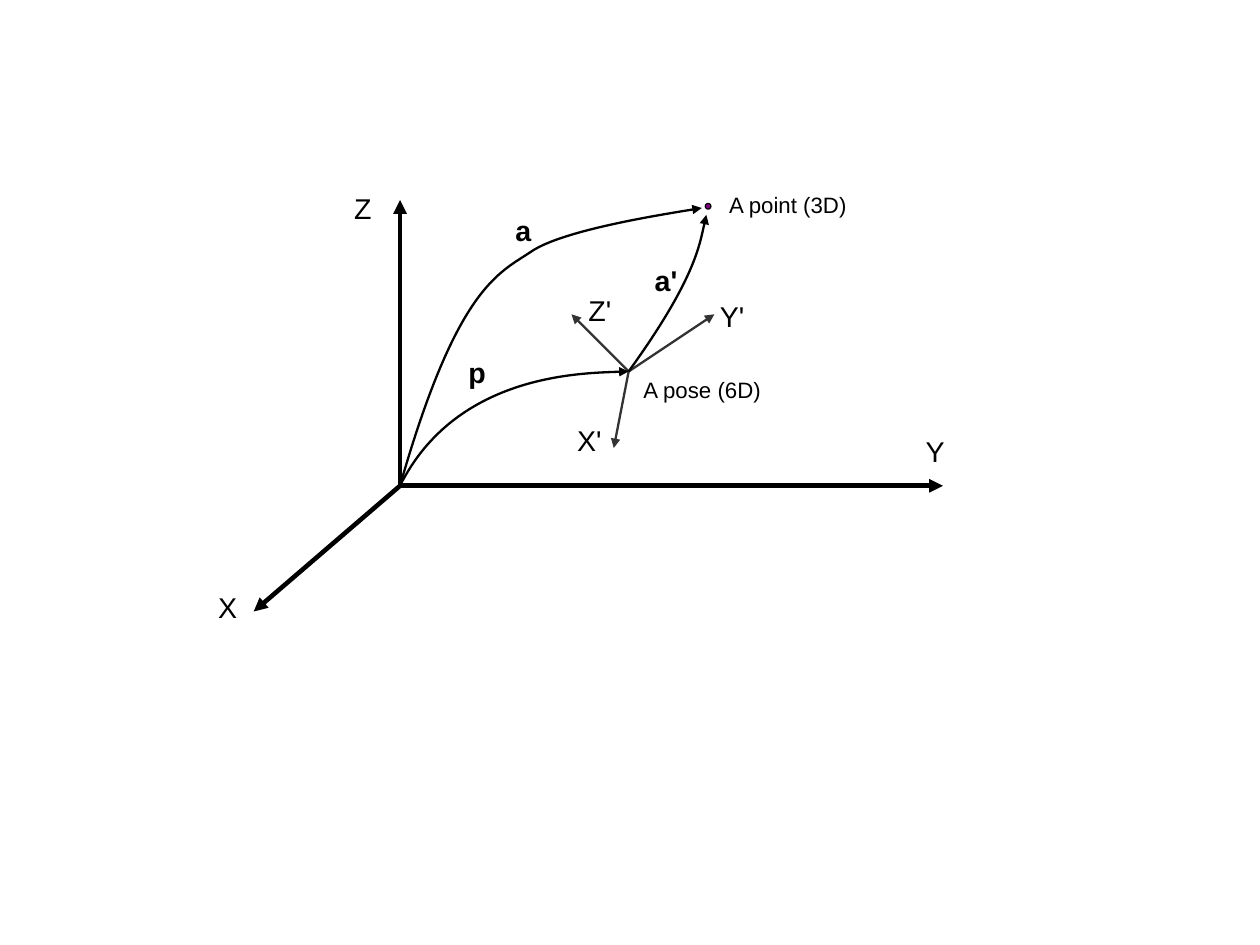
from dataclasses import dataclass

from pptx import Presentation
from pptx.dml.color import RGBColor as RGB
from pptx.enum.shapes import MSO_CONNECTOR as Conn, MSO_SHAPE as Form
from pptx.enum.text import MSO_AUTO_SIZE as Fit
from pptx.oxml.ns import qn
from pptx.oxml.xmlchemy import OxmlElement as Node
from pptx.util import Inches, Pt


@dataclass(frozen=True)
class Theme:
    font: str = "Arial"
    ink: RGB = RGB(0, 0, 0)
    gray: RGB = RGB(0x33, 0x33, 0x33)
    dot: RGB = RGB(0x80, 0, 0x80)
    big: float = 18
    small: float = 14
    thick: float = 2.89
    thin: float = 1.45


LOOK = Theme()
BASE = (3.5, 4.25)
POSE = (5.5, 3.25)


def style_line(shape, color, width):
    """Set the stroke and put an arrowhead at its end."""
    shape.line.color.rgb = color
    shape.line.width = Pt(width)
    head = Node("a:tailEnd")
    head.set("type", "triangle")
    shape.element.spPr.get_or_add_ln().append(head)


def add_arrow(slide, start, end, color=LOOK.ink, width=LOOK.thick):
    ends = [Inches(v) for v in (*start, *end)]
    arrow = slide.shapes.add_connector(Conn.STRAIGHT, *ends)
    style_line(arrow, color, width)
    arrow.element.spPr.append(Node("a:effectLst"))


def add_curve(slide, *points):
    """Draw Bezier arcs; every three points after the first make one arc."""
    start, *rest = [(Inches(x), Inches(y)) for x, y in points]
    pen = slide.shapes.build_freeform(*start)
    pen.add_line_segments(rest, close=False)
    curve = pen.convert_to_shape()
    curve.shadow.inherit = False
    curve.fill.background()
    style_line(curve, LOOK.ink, LOOK.thin)
    # Turn each trio of straight steps into one cubic arc
    steps = list(curve.element.iter(qn("a:lnTo")))
    for i in range(0, len(steps), 3):
        arc = Node("a:cubicBezTo")
        steps[i].addprevious(arc)
        for step in steps[i:i + 3]:
            arc.append(step[0])
            step.getparent().remove(step)


def add_text(slide, text, at, size=LOOK.big, bold=False):
    box = slide.shapes.add_textbox(*(Inches(v) for v in at))
    frame = box.text_frame
    frame.word_wrap = False
    frame.auto_size = Fit.SHAPE_TO_FIT_TEXT
    run = frame.paragraphs[0].add_run()
    run.text = text
    font = run.font
    font.name, font.size, font.bold = LOOK.font, Pt(size), bold
    font.color.rgb = LOOK.ink


def add_dot(slide, left, top, size):
    dot = slide.shapes.add_shape(
        Form.OVAL, *(Inches(v) for v in (left, top, size, size)))
    dot.shadow.inherit = False
    dot.fill.solid()
    dot.fill.fore_color.rgb = LOOK.dot
    dot.line.color.rgb = LOOK.ink
    dot.line.width = Pt(0)


def main():
    # A page of 28 by 21 centimetres
    deck = Presentation()
    deck.slide_width = Inches(28 / 2.54)
    deck.slide_height = Inches(21 / 2.54)
    slide = deck.slides.add_slide(deck.slide_layouts[6])

    # World axes and the axes of the pose
    for end in ((8.25, 4.25), (3.5, 1.75), (2.22, 5.35)):
        add_arrow(slide, BASE, end)
    for end in ((6.25, 2.75), (5, 2.75), (5.37, 3.92)):
        add_arrow(slide, POSE, end, color=LOOK.gray, width=LOOK.thin)

    # Axis names
    for name, left, top, width in (
        ("Y", 8, 3.75, 0.36), ("X", 1.81, 5.11, 0.36),
        ("Z", 3, 1.62, 0.35), ("Y'", 6.2, 2.57, 0.42),
        ("X'", 4.95, 3.65, 0.42), ("Z'", 5.05, 2.51, 0.4),
    ):
        add_text(slide, name, (left, top, width, 0.38))

    # The point and the vectors p, a and a'
    add_curve(slide, BASE, (4, 3.25), POSE, POSE)
    add_text(slide, "p", (4, 3.06, 0.35, 0.44), bold=True)
    add_dot(slide, 6.17, 1.78, 0.05)
    add_text(slide, "a", (4.41, 1.81, 0.34, 0.5), bold=True)
    add_curve(slide, BASE, (4, 2.5), (4.37, 2.39), (4.65, 2.2),
              (4.93, 2.01), (6.14, 1.82), (6.14, 1.82))
    add_curve(slide, POSE, (6.1, 2.42), (6.18, 1.88), (6.18, 1.88))
    add_text(slide, "a'", (5.63, 2.25, 0.4, 0.5), bold=True)

    # Captions
    add_text(slide, "A point (3D)", (6.28, 1.62, 1.23, 0.32), size=LOOK.small)
    add_text(slide, "A pose (6D)", (5.53, 3.24, 1.23, 0.32), size=LOOK.small)

    deck.save("out.pptx")


if __name__ == "__main__":
    main()
